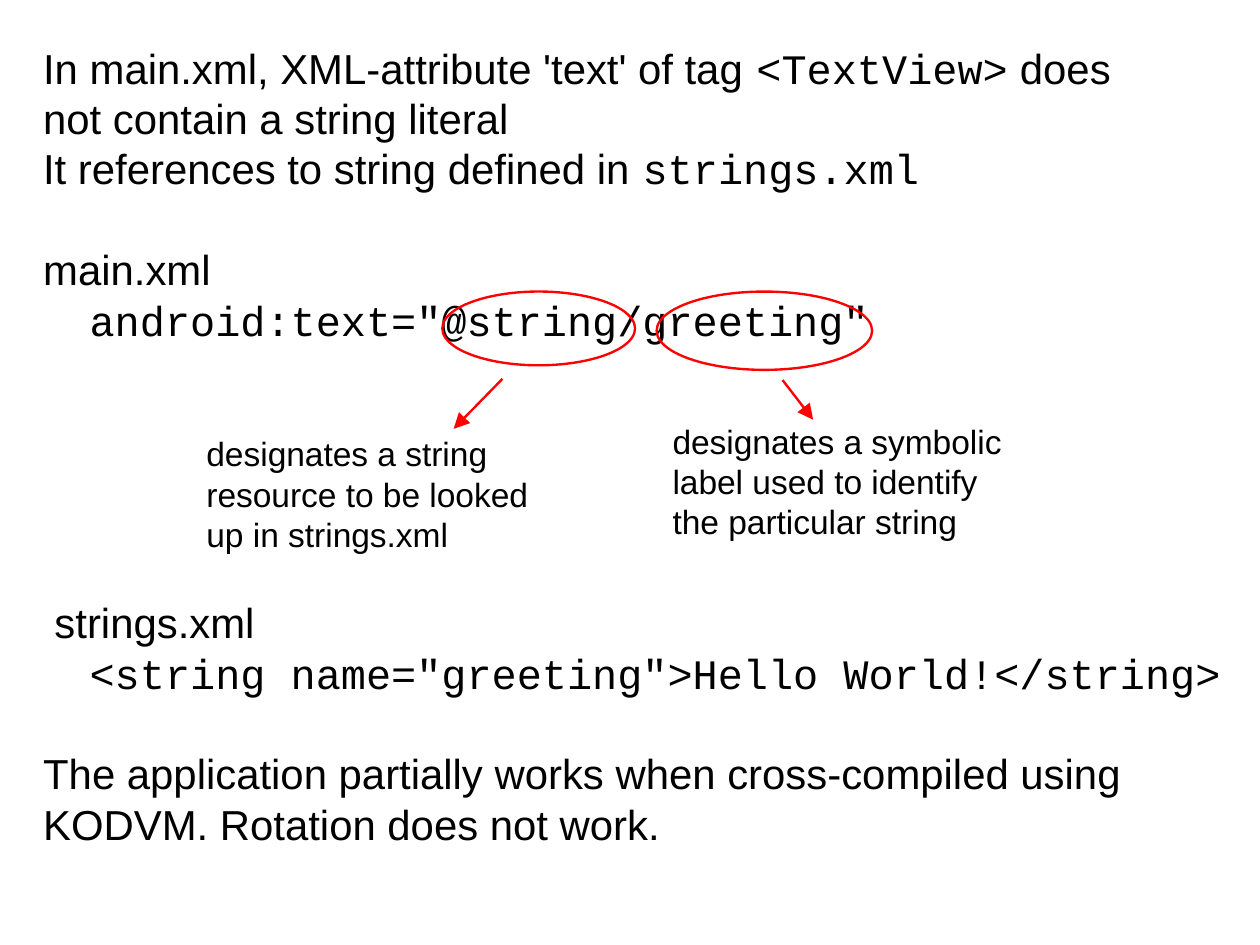
import pptx
import pptx.dml.color
import pptx.enum.shapes
import pptx.enum.text
import pptx.oxml
import pptx.oxml.ns
import pptx.util

Inches, Pt = pptx.util.Inches, pptx.util.Pt
COLORS = {"text": "000000", "mark": "FF0000"}
PROSE, CODE = "Arial", "Courier New"
PITCH = 32


def color(name):
    return pptx.dml.color.RGBColor.from_string(COLORS[name])


def set_up_frame(frame):
    frame.word_wrap = True
    frame.auto_size = pptx.enum.text.MSO_AUTO_SIZE.NONE
    frame.vertical_anchor = pptx.enum.text.MSO_ANCHOR.TOP
    frame.margin_left = frame.margin_right = Inches(0.04)
    frame.margin_top = frame.margin_bottom = Inches(0.04)


deck = pptx.Presentation()
deck.slide_width, deck.slide_height = Inches(11.11), Inches(8.33)
slide = deck.slides.add_slide(deck.slide_layouts[1])
heading = slide.shapes.title
heading.element.getparent().remove(heading.element)

# Explanation: indent (in), free lines before, runs
explanation = [
    (0, 0, [("In main.xml, XML-attribute 'text' of tag ", PROSE),
            ("<TextView>", CODE), (" does", PROSE)]),
    (0, 0, [("not contain a string literal", PROSE)]),
    (0, 0, [("It references to string defined in ", PROSE),
            ("strings.xml", CODE)]),
    (0, 1, [("main.xml", PROSE)]),
    (0.41, 0, [('android:text="@string/greeting"', CODE)]),
    (0.1, 5, [("strings.xml", PROSE)]),
    (0.41, 0, [('<string name="greeting">Hello World!</string>', CODE)]),
    (0, 1, [("The application partially works when cross-compiled using "
             "KODVM. Rotation does not work.", PROSE)]),
]
body = slide.placeholders[1]
body.left, body.top = Inches(0.34), Inches(0.33)
body.width, body.height = Inches(10.6), Inches(7.67)
set_up_frame(body.text_frame)
body.text_frame.text = "\n".join(
    "".join(text for text, font in runs) for *_, runs in explanation)
for paragraph, (indent, free_lines, runs) in zip(body.text_frame.paragraphs, explanation):
    paragraph.text = ""
    paragraph.space_before, paragraph.space_after = Pt(free_lines * PITCH), Pt(0)
    paragraph.line_spacing = Pt(PITCH)
    properties = paragraph._p.get_or_add_pPr()
    properties.set("marL", str(Inches(indent)))
    properties.set("indent", "0")
    properties.append(pptx.oxml.parse_xml(
        f'<a:buNone {pptx.oxml.ns.nsdecls("a")}/>'))
    for text, font in runs:
        run = paragraph.add_run()
        run.text = text
        run.font.name, run.font.size = font, Pt(26.6)
        run.font.color.rgb = color("text")

# Ellipses around the two parts of the reference
for left, width, height in [(3.9, 1.7, 0.65), (5.79, 1.9, 0.69)]:
    ellipse = slide.shapes.add_shape(
        pptx.enum.shapes.MSO_SHAPE.OVAL,
        Inches(left), Inches(2.57), Inches(width), Inches(height))
    ellipse.shadow.inherit = False
    ellipse.fill.background()
    ellipse.line.color.rgb = color("mark")
    ellipse.line.width = Pt(1.5)

# Notes under the ellipses
for left, top, width, height, text in [
    (1.78, 3.78, 3.02, 1.42,
     "designates a string resource to be looked up in strings.xml"),
    (5.89, 3.67, 3.14, 1.53,
     "designates a symbolic label used to identify the particular string"),
]:
    note = slide.shapes.add_textbox(
        Inches(left), Inches(top), Inches(width), Inches(height)).text_frame
    set_up_frame(note)
    note.text = text
    paragraph = note.paragraphs[0]
    paragraph.line_spacing = Pt(25.5)
    font = paragraph.runs[0].font
    font.name, font.size = PROSE, Pt(21.3)
    font.color.rgb = color("text")

# Arrows from the ellipses to the notes
for ends in [(4.43, 3.34, 4, 3.78), (6.9, 3.35, 7.17, 3.7)]:
    arrow = slide.shapes.add_connector(
        pptx.enum.shapes.MSO_CONNECTOR.STRAIGHT, *map(Inches, ends))
    arrow.line.color.rgb = color("mark")
    arrow.line.width = Pt(1.5)
    namespace = pptx.oxml.ns.nsdecls("a")
    arrow.line._get_or_add_ln().append(pptx.oxml.parse_xml(
        f'<a:tailEnd {namespace} type="triangle" w="lg" len="lg"/>'))
    arrow._element.spPr.append(pptx.oxml.parse_xml(f"<a:effectLst {namespace}/>"))

deck.save("out.pptx")
